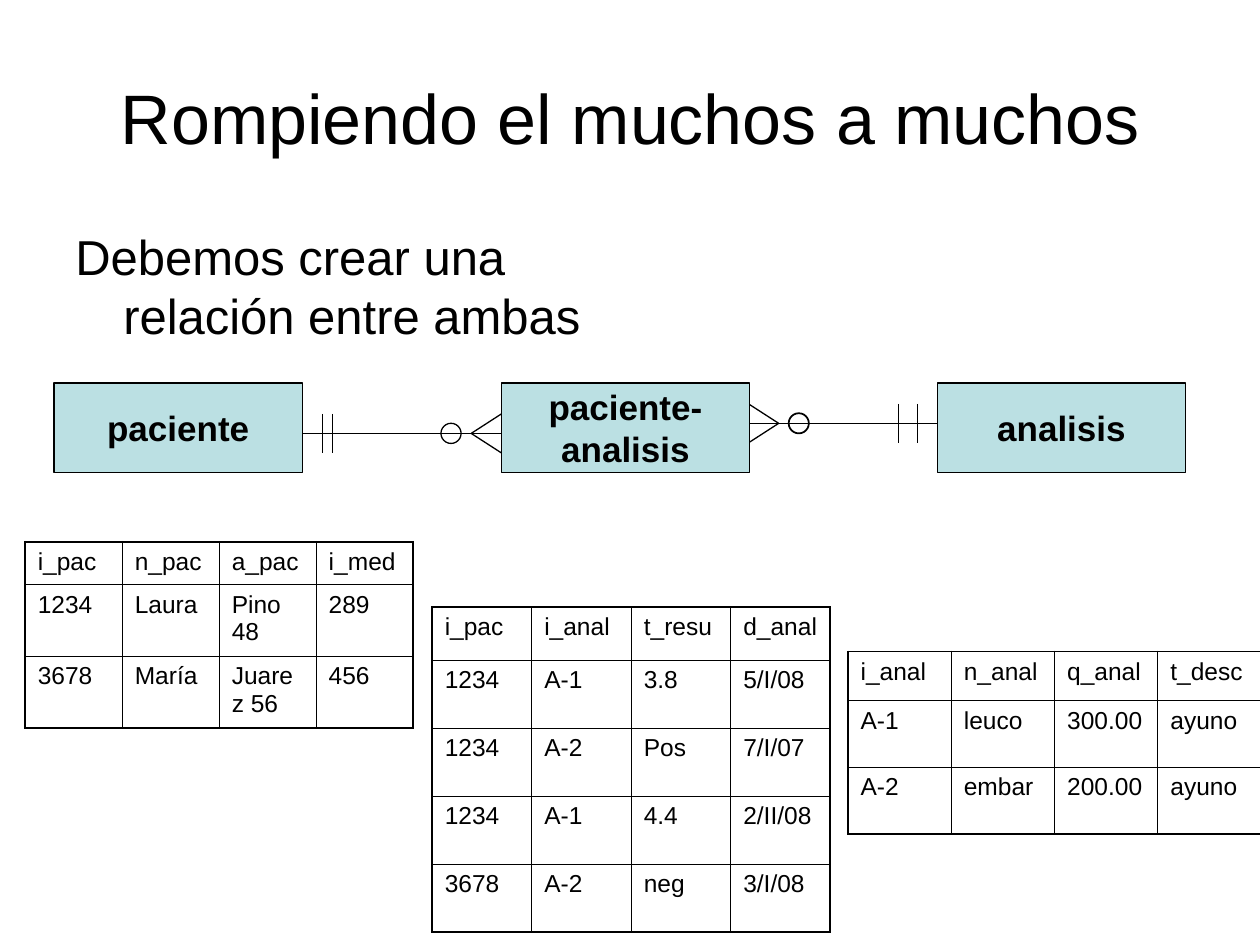
from dataclasses import dataclass

from pptx import Presentation
from pptx import util as u
from pptx.dml.color import RGBColor
from pptx.enum import shapes, text
from pptx.oxml import parse_xml
from pptx.oxml.ns import nsdecls, qn

COLORS = {"ink": "000000", "entity": "BBE0E3"}
FONT = "Arial"
BOX_TOP, BOX_W, BOX_H = 3.04, 1.97, 0.71
BAR = 0.155  # half height of bars and crow's feet
THICK, THIN = 1.08, 0.45


@dataclass
class Entity:
    name: str
    left: float


@dataclass
class Relation:
    one_x: float
    many_x: float
    y: float
    bars: tuple[float, float]  # distances from the "one" end
    ring_pt: float


@dataclass
class Grid:
    left: float
    top: float
    col_w: float
    head_h: float
    row_h: float
    rows: list[list[str]]


ENTITIES = [Entity("paciente", 0.43), Entity("analisis", 7.44),
            Entity("paciente-\nanalisis", 3.98)]

RELATIONS = [Relation(2.4, 3.98, 3.44, (0.16, 0.24), 0.75),
             Relation(7.44, 5.94, 3.36, (0.16, 0.31), 1)]

GRIDS = [
    Grid(6.73, 5.17, 0.82, 0.39, 0.53, [
        ["i_anal", "n_anal", "q_anal", "t_desc"],
        ["A-1", "leuco", "300.00", "ayuno"],
        ["A-2", "embar", "200.00", "ayuno"]]),
    Grid(0.2, 4.3, 0.77, 0.34, 0.57, [
        ["i_pac", "n_pac", "a_pac", "i_med"],
        ["1234", "Laura", "Pino 48", "289"],
        ["3678", "María", "Juarez 56", "456"]]),
    Grid(3.43, 4.82, 0.79, 0.42, 0.54, [
        ["i_pac", "i_anal", "t_resu", "d_anal"],
        ["1234", "A-1", "3.8", "5/I/08"],
        ["1234", "A-2", "Pos", "7/I/07"],
        ["1234", "A-1", "4.4", "2/II/08"],
        ["3678", "A-2", "neg", "3/I/08"]]),
]


def rgb(name: str) -> RGBColor:
    return RGBColor.from_string(COLORS[name])


def inches(*values: float) -> list[u.Length]:
    return [u.Inches(v) for v in values]


def write(tf, content: str, size: float, bold: bool = False, **para) -> None:
    """Fill a text frame, one paragraph per line."""
    tf.text = content
    font = {"name": FONT, "size": u.Pt(size), "bold": bold}
    for p in tf.paragraphs:
        for key, value in para.items():
            setattr(p, key, value)
        for r in p.runs:
            for key, value in font.items():
                setattr(r.font, key, value)
            r.font.color.rgb = rgb("ink")


def add_text(s, box: tuple, content: str, size: float, anchor, **para):
    tf = s.shapes.add_textbox(*inches(*box)).text_frame
    tf.word_wrap = True
    tf.vertical_anchor = anchor
    write(tf, content, size, **para)
    return tf


def add_outline(s, kind, box: tuple, width: float):
    sp = s.shapes.add_shape(kind, *inches(*box))
    sp.shadow.inherit = False
    sp.fill.background()
    sp.line.color.rgb = rgb("ink")
    sp.line.width = u.Pt(width)
    return sp


def add_line(s, x1: float, y1: float, x2: float, y2: float) -> None:
    ln = s.shapes.add_connector(shapes.MSO_CONNECTOR.STRAIGHT, *inches(x1, y1, x2, y2))
    ln.line.color.rgb = rgb("ink")
    ln.line.width = u.Pt(0.75)
    ln._element.spPr.append(parse_xml(f"<a:effectLst {nsdecls('a')}/>"))


def add_entity(s, entity: Entity) -> None:
    sp = add_outline(s, shapes.MSO_SHAPE.RECTANGLE, (entity.left, BOX_TOP, BOX_W, BOX_H), 0.75)
    sp.fill.solid()
    sp.fill.fore_color.rgb = rgb("entity")
    sp.text_frame.word_wrap = False
    sp.text_frame.vertical_anchor = text.MSO_ANCHOR.MIDDLE
    write(sp.text_frame, entity.name, 20, True, alignment=text.PP_ALIGN.CENTER)


def add_relation(s, rel: Relation) -> None:
    """One-to-many link: two bars at one end, ring and crow's foot at the other."""
    way = 1 if rel.many_x > rel.one_x else -1
    add_line(s, rel.one_x, rel.y, rel.many_x, rel.y)
    for gap in rel.bars:
        x = rel.one_x + way * gap
        add_line(s, x, rel.y - BAR, x, rel.y + BAR)
    for dy in (-BAR, BAR):
        add_line(s, rel.many_x - way * 0.24, rel.y, rel.many_x, rel.y + dy)
    ring_x = rel.many_x - way * 0.4
    add_outline(s, shapes.MSO_SHAPE.OVAL, (ring_x - 0.08, rel.y - 0.08, 0.16, 0.16), rel.ring_pt)


def set_borders(cell, outer: dict[str, bool]) -> None:
    tc_pr = cell._tc.get_or_add_tcPr()
    for side, is_outer in outer.items():
        width = u.Pt(THICK if is_outer else THIN)
        tc_pr.append(parse_xml(
            f'<a:ln{side} {nsdecls("a")} w="{int(width)}"><a:solidFill>'
            f'<a:srgbClr val="{COLORS["ink"]}"/></a:solidFill></a:ln{side}>'))


def add_grid(s, grid: Grid) -> None:
    n_rows, n_cols = len(grid.rows), len(grid.rows[0])
    height = grid.head_h + grid.row_h * (n_rows - 1)
    tbl = s.shapes.add_table(n_rows, n_cols, *inches(
        grid.left, grid.top, grid.col_w * n_cols, height)).table
    tbl.first_row = tbl.horz_banding = False
    for col in tbl.columns:
        col.width = u.Inches(grid.col_w)
    for i, values in enumerate(grid.rows):
        tbl.rows[i].height = u.Inches(grid.row_h if i else grid.head_h)
        for j, value in enumerate(values):
            cell = tbl.cell(i, j)
            write(cell.text_frame, value, 14, space_before=u.Pt(3.5))
            set_borders(cell, {"L": j == 0, "R": j == n_cols - 1,
                               "T": i == 0, "B": i == n_rows - 1})
            cell.fill.background()


def main() -> None:
    prs = Presentation()
    prs.slide_width, prs.slide_height = inches(10, 7.5)
    s = prs.slides.add_slide(prs.slide_layouts[6])

    # Title and statement with a hanging indent
    add_text(s, (0.5, 0.3, 9, 1.25), "Rompiendo el muchos a muchos", 40,
             text.MSO_ANCHOR.MIDDLE, alignment=text.PP_ALIGN.CENTER)
    tf = add_text(s, (0.5, 1.75, 4.42, 4.95), "Debemos crear una relación entre ambas", 28,
                  text.MSO_ANCHOR.TOP, space_before=u.Pt(7))
    p_pr = tf.paragraphs[0]._p.get_or_add_pPr()
    p_pr.set("marL", str(u.Inches(0.38)))
    p_pr.set("indent", str(u.Inches(-0.38)))

    # Entity-relationship diagram
    for rel in RELATIONS:
        add_relation(s, rel)
    for entity in ENTITIES:
        add_entity(s, entity)

    # Sample data of each entity
    for grid in GRIDS:
        add_grid(s, grid)

    prs.save("out.pptx")


if __name__ == "__main__":
    main()
